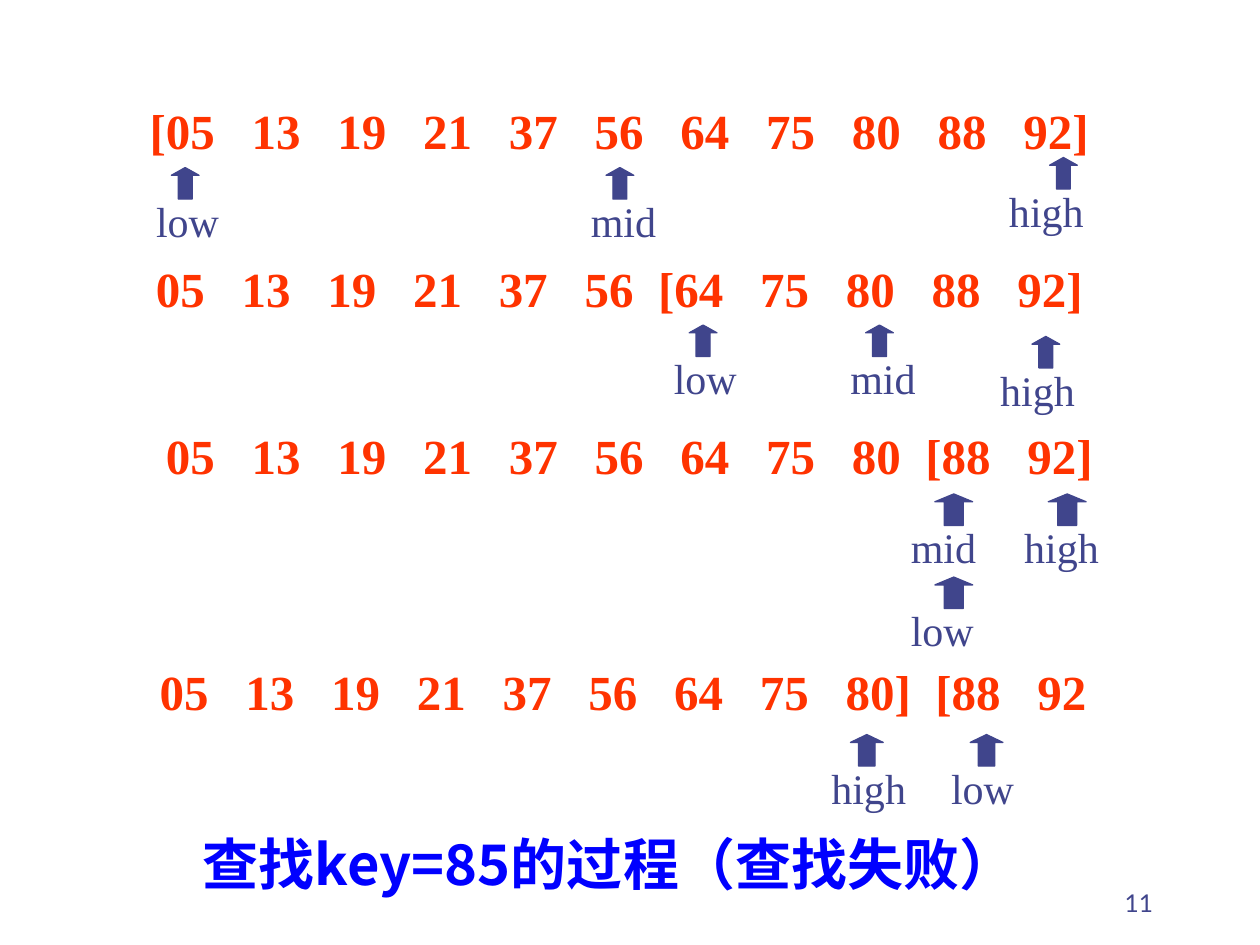
"""Build a slide tracing a failed binary search for key 85."""
from lxml import etree
from pptx import Presentation
from pptx.dml.color import RGBColor
from pptx.enum import shapes, text
from pptx.oxml.ns import qn
from pptx.util import Inches, Pt


def colour(value):
    """Turn a hex string into a colour."""
    return RGBColor.from_string(value)


def write(box, words, size, font, ink, bold=False, align=text.PP_ALIGN.LEFT):
    """Fill a box with one formatted paragraph."""
    frame = box.text_frame
    frame.word_wrap = True
    frame.vertical_anchor = text.MSO_ANCHOR.TOP
    frame.auto_size = text.MSO_AUTO_SIZE.SHAPE_TO_FIT_TEXT
    frame.text = words
    paragraph = frame.paragraphs[0]
    paragraph.alignment = align
    for run in paragraph.runs:
        run.font.size = Pt(size)
        run.font.name = font
        run.font.bold = bold
        run.font.color.rgb = colour(ink)
        etree.SubElement(run.font._element, qn("a:ea"), typeface=font)
    return paragraph


SERIF = "Times New Roman"
INDIGO = "40458C"
ROW_WIDTH = 9.33
DIGIT, BRACKET, GAP, BRACKET_GAP = 14, 9.32, 21, 14

steps = [
    (0.25, 0.75, "[05 13 19 21 37 56 64 75 80 88 92]", 0.22, 0.22, 0.28,
     [("low", 1.36, 1.33, 0.75), ("high", 8.33, 1.25, 0.87), ("mid", 4.81, 1.33, 0.75)]),
    (0.25, 2, "05 13 19 21 37 56 [64 75 80 88 92]", 0.22, 0.22, 0.28,
     [("mid", 6.87, 2.58, 0.73), ("low", 5.47, 2.58, 0.73), ("high", 8.19, 2.67, 0.87)]),
    (0.33, 3.33, "05 13 19 21 37 56 64 75 80 [88 92]", 0.3, 0.29, 0.25,
     [("mid", 7.42, 3.92, 0.99), ("low", 7.42, 4.58, 0.99), ("high", 8.32, 3.92, 0.99)]),
    (0.28, 5.2, "05 13 19 21 37 56 64 75 80] [88 92", 0.26, 0.25, 0.25,
     [("low", 7.7, 5.83, 0.86), ("high", 6.75, 5.83, 0.86)]),
]

deck = Presentation()
deck.slide_width, deck.slide_height = Inches(10), Inches(7.5)
slide = deck.slides.add_slide(deck.slide_layouts[5])

caption = slide.shapes.title
caption.left, caption.top = Inches(1.25), Inches(6.53)
caption.width, caption.height = Inches(7.17), Inches(0.64)
write(caption, "查找key=85的过程（查找失败）", 32, "Noto Sans CJK SC", "0000FF",
      True, text.PP_ALIGN.CENTER)

page_number = slide.shapes.add_textbox(Inches(7.17), Inches(6.83), Inches(2.08), Inches(0.5))
write(page_number, "11", 14, "Lato", INDIGO, align=text.PP_ALIGN.RIGHT)
page_number.text_frame.auto_size = text.MSO_AUTO_SIZE.NONE
page_number.text_frame.vertical_anchor = text.MSO_ANCHOR.BOTTOM

for left, top, sequence, arrow_width, label_shift, head, pointers in steps:
    keys = sequence.split()
    stops, end = [], 0
    for key in keys:
        if stops:
            end += BRACKET_GAP if key.startswith("[") else GAP
        stops.append(end)
        end += sum(DIGIT if mark.isdigit() else BRACKET for mark in key)

    row = slide.shapes.add_textbox(Inches(left), Inches(top), Inches(ROW_WIDTH), Inches(0.57))
    paragraph = write(row, "\t".join(keys), 28, SERIF, "FF3300", True)
    row.text_frame.margin_left = (Inches(ROW_WIDTH) - Pt(end)) // 2
    tabs = etree.SubElement(paragraph._p.get_or_add_pPr(), qn("a:tabLst"))
    for stop in stops[1:]:
        etree.SubElement(tabs, qn("a:tab"), pos=str(int(Pt(stop))), algn="l")

    markers = slide.shapes.add_group_shape().shapes
    for name, x, y, label_width in pointers:
        arrow = markers.add_shape(shapes.MSO_SHAPE.UP_ARROW, Inches(x), Inches(y),
                                  Inches(arrow_width), Inches(0.25))
        arrow.adjustments[1] = head
        arrow.shadow.inherit = False
        arrow.fill.solid()
        arrow.fill.fore_color.rgb = colour(INDIGO)
        arrow.line.color.rgb = colour(INDIGO)
        arrow.line.width = Pt(0.75)
        shift = 0.35 if name == "high" and top == 2 else 0.42 if name == "high" and top < 2 else label_shift
        label = markers.add_textbox(Inches(x - shift), Inches(y + 0.17),
                                    Inches(label_width), Inches(0.5))
        write(label, name, 24, SERIF, INDIGO)

deck.save("out.pptx")
